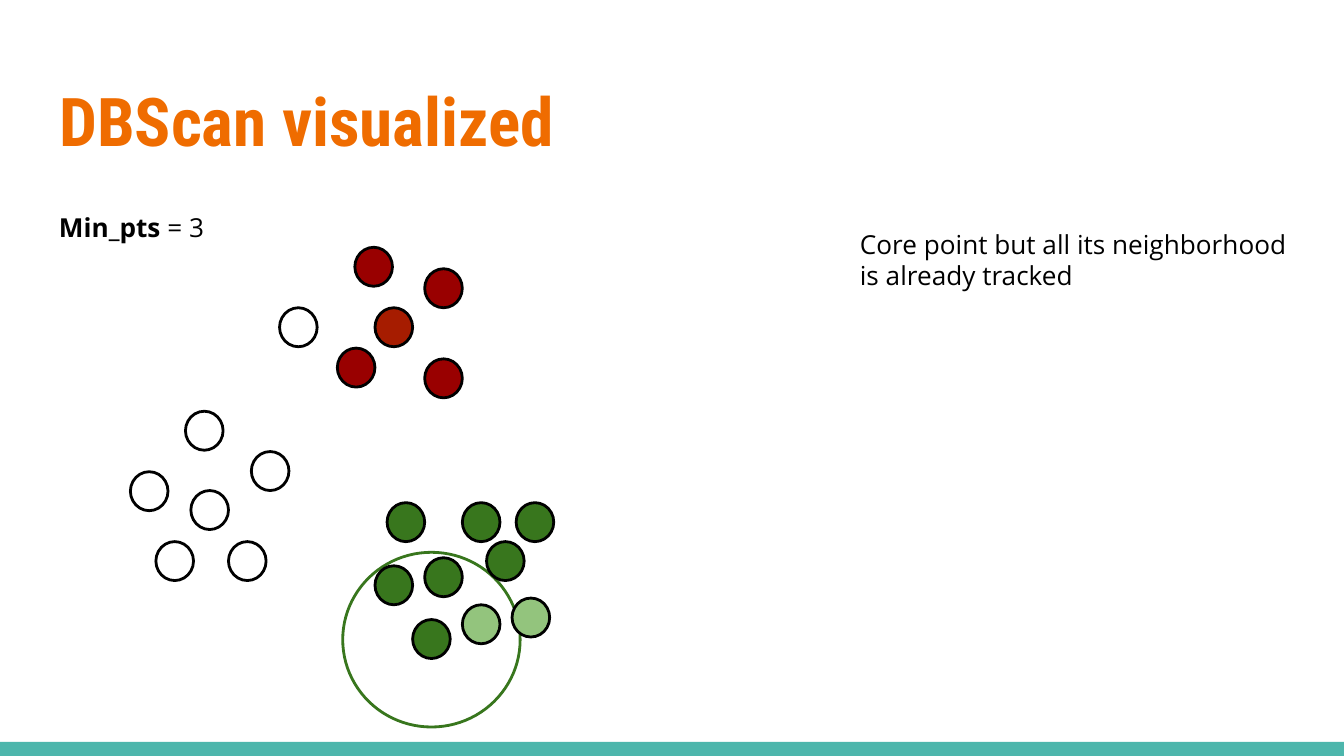
from pptx import Presentation
from pptx.dml.color import RGBColor
from pptx.enum.shapes import MSO_SHAPE
from pptx.enum.text import MSO_ANCHOR, MSO_AUTO_SIZE, PP_ALIGN
from pptx.util import Inches, Pt

OVAL, RECT = MSO_SHAPE.OVAL, MSO_SHAPE.RECTANGLE
TOP, LEFT = MSO_ANCHOR.TOP, PP_ALIGN.LEFT
NO_FIT = MSO_AUTO_SIZE.NONE

COLORS = {
    "title": "EF6C00",
    "text": "000000",
    "outline": "000000",
    "bar": "4DB6AC",
    "red": "990000",
    "current red": "A61C00",
    "green": "38761D",
    "light green": "93C47D",
}
TITLE_FONT = {"name": "Roboto Condensed", "size": Pt(36), "bold": True}
BODY_FONT = {"name": "Open Sans", "size": Pt(14), "bold": False}
FRAME = {"word_wrap": True, "auto_size": NO_FIT, "vertical_anchor": TOP}
FRAME.update({f"margin_{side}": Inches(0.1) for side in ("left", "top", "right", "bottom")})


def add_figure(kind, left, top, width, height, fill=None, line=None):
    figure = page.shapes.add_shape(
        kind, Inches(left), Inches(top), Inches(width), Inches(height))
    figure.shadow.inherit = False
    if fill:
        figure.fill.solid()
        figure.fill.fore_color.rgb = RGBColor.from_string(COLORS[fill])
    else:
        figure.fill.background()
    if line:
        figure.line.color.rgb = RGBColor.from_string(COLORS[line])
        figure.line.width = Pt(1.5)
    else:
        figure.line.fill.background()


def write_text(box, spans, font, color):
    """Fill a box with one paragraph of (text, format changes) spans."""
    for name, value in FRAME.items():
        setattr(box.text_frame, name, value)
    para = box.text_frame.paragraphs[0]
    para.alignment = LEFT
    para.line_spacing = 1.0
    for text, changes in spans:
        span = para.add_run()
        span.text = text
        for name, value in {**font, **changes}.items():
            setattr(span.font, name, value)
        span.font.color.rgb = RGBColor.from_string(COLORS[color])


deck = Presentation()
deck.slide_width = Inches(10)
deck.slide_height = deck.slide_width * 9 // 16
page = deck.slides.add_slide(deck.slide_layouts[5])

# Bottom bar and neighborhood of the current point
add_figure(RECT, 0, 5.52, 10, 0.11, fill="bar")
add_figure(OVAL, 2.55, 4.11, 1.32, 1.3, line="green")

# Title
title = page.shapes.title
title.left, title.top = Inches(0.34), Inches(0.49)
title.width, title.height = Inches(9.32), Inches(0.77)
write_text(title, [("DBScan visualized", {})], TITLE_FONT, "title")

# Data points, grouped by state
points = {
    None: [(1.38, 3.06), (2.08, 2.29), (1.42, 3.65), (1.87, 3.36),
           (0.97, 3.51), (1.16, 4.03), (1.7, 4.03)],
    "red": [(3.16, 2.67), (2.51, 2.59), (2.64, 1.84), (3.16, 2)],
    "current red": [(2.79, 2.29)],
    "green": [(2.88, 3.74), (3.16, 4.15), (2.79, 4.21), (3.44, 3.74),
              (3.62, 4.03), (3.84, 3.74), (3.07, 4.61)],
    "light green": [(3.44, 4.5), (3.81, 4.45)],
}
for state, places in points.items():
    for left, top in places:
        add_figure(OVAL, left, top, 0.28, 0.29, fill=state, line="outline")

# Parameter and comment
notes = [
    ((0.34, 1.47, 1.32, 0.43), [("Min_pts", {"bold": True}), (" = 3", {})]),
    ((6.3, 1.6, 3.5, 0.67),
     [("Core point but all its neighborhood is already tracked", {})]),
]
for place, spans in notes:
    box = page.shapes.add_textbox(*map(Inches, place))
    write_text(box, spans, BODY_FONT, "text")

deck.save("out.pptx")
